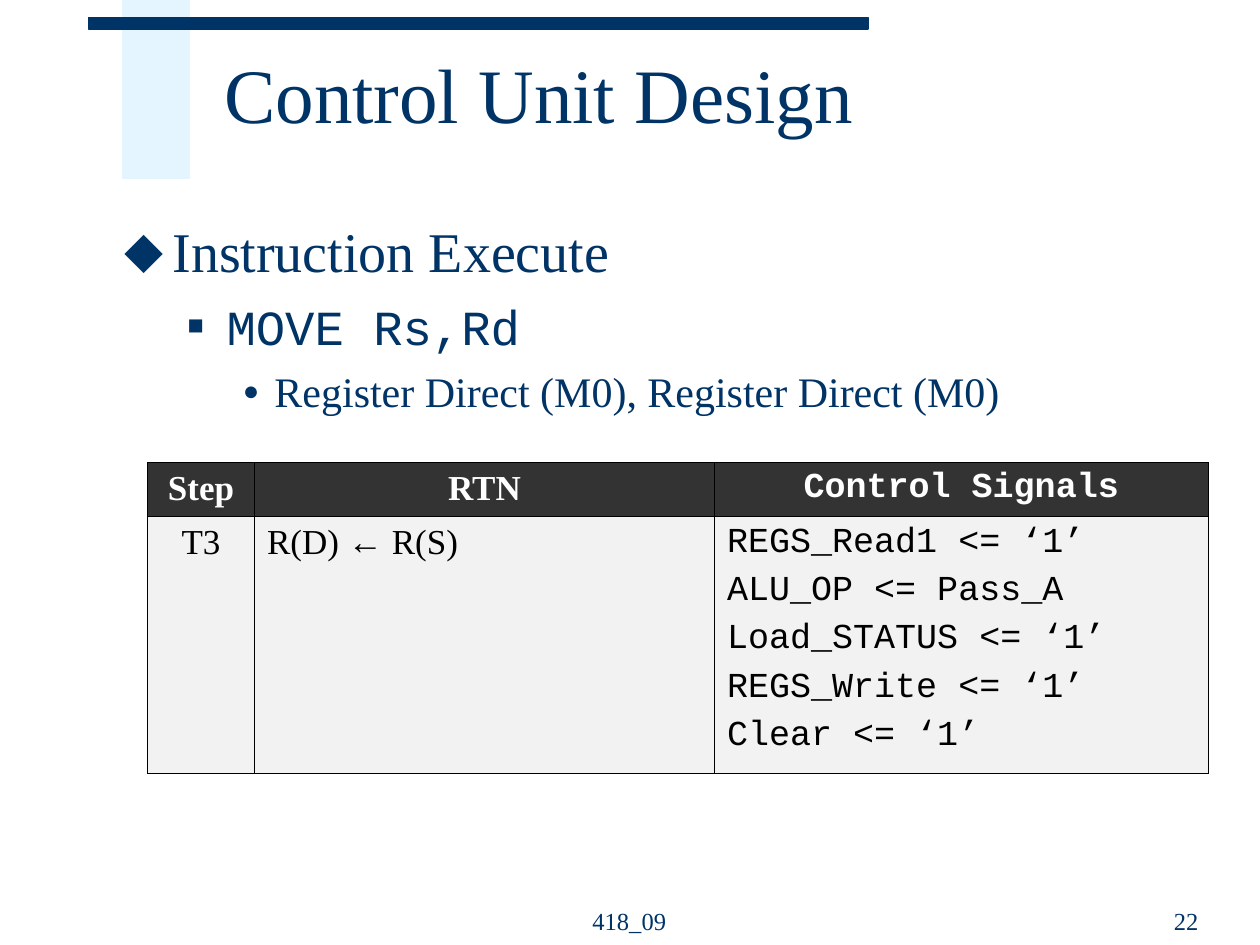
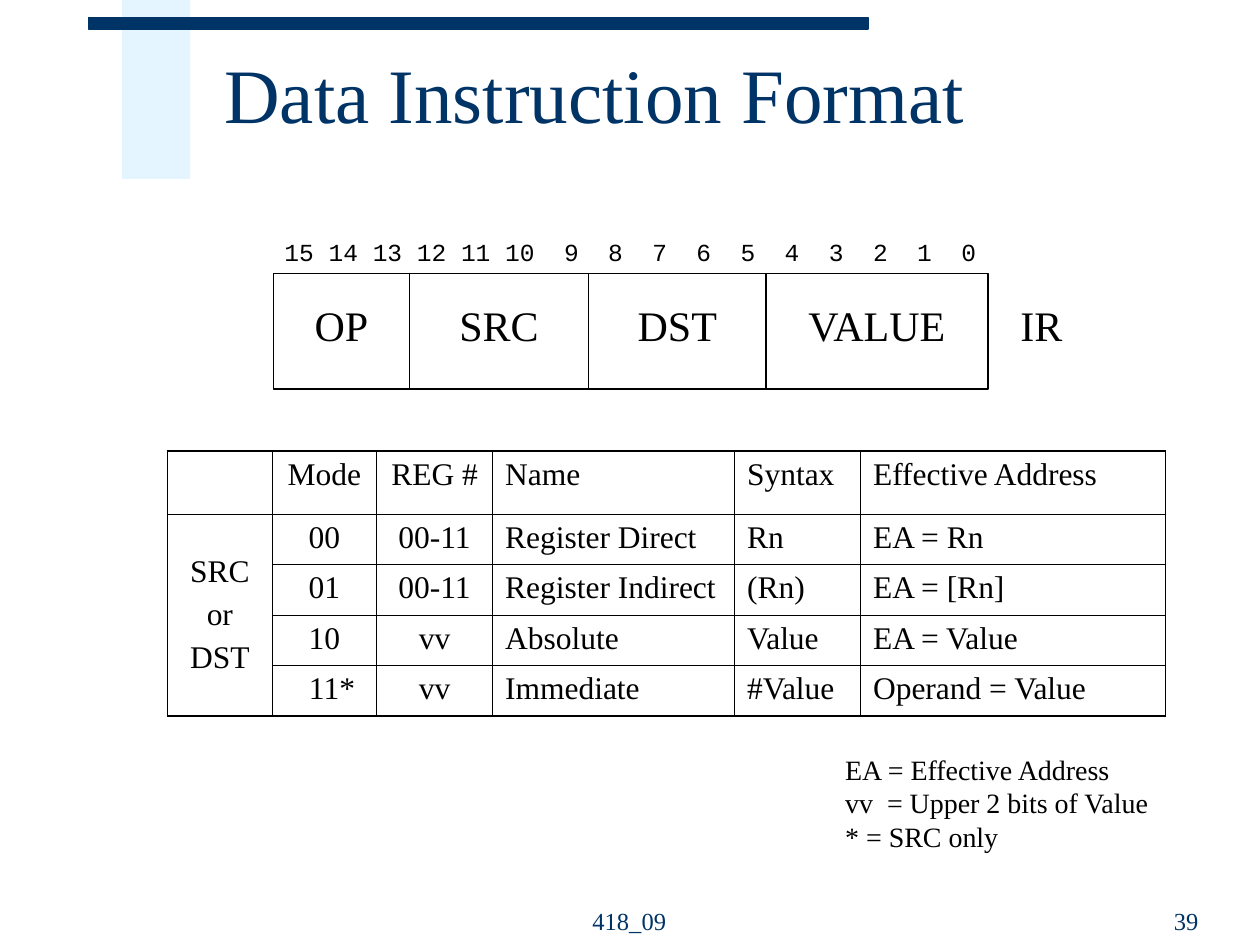
from dataclasses import dataclass, replace
from typing import Any, Optional, Sequence

from lxml import etree
from pptx import Presentation
from pptx import util as u
from pptx.dml.color import RGBColor
from pptx.enum import shapes, text
from pptx.oxml import ns

# Shared colours and fonts
NAVY = RGBColor(0x00, 0x33, 0x66)
PALE_BLUE = RGBColor(0xCC, 0xEC, 0xFF)
BLACK = RGBColor(0x00, 0x00, 0x00)
WHITE = RGBColor(0xFF, 0xFF, 0xFF)
CHARCOAL = RGBColor(0x33, 0x33, 0x33)
LIGHT_GREY = RGBColor(0xF2, 0xF2, 0xF2)
SERIF, MONO, SANS = "Times New Roman", "Courier New", "Arial"
ARROW = "←"
LEFT, CENTER, RIGHT = text.PP_ALIGN.LEFT, text.PP_ALIGN.CENTER, text.PP_ALIGN.RIGHT
TOP, MIDDLE, BOTTOM = text.MSO_ANCHOR.TOP, text.MSO_ANCHOR.MIDDLE, text.MSO_ANCHOR.BOTTOM
THIN, THICK = 0.45, 1.08


@dataclass(frozen=True)
class Box:
    left: float
    top: float
    width: float
    height: float

    def lengths(self) -> list[u.Length]:
        return [u.Inches(v) for v in (self.left, self.top, self.width, self.height)]


@dataclass(frozen=True)
class Style:
    size: float
    font: str = SERIF
    color: RGBColor = BLACK
    bold: bool = False
    align: Any = LEFT
    spaced: bool = False  # a quarter of the text size before each paragraph


@dataclass(frozen=True)
class Bullet:
    line: str
    style: Style
    char: str
    percent: int
    margin: float
    hanging: float


@dataclass(frozen=True)
class Cell:
    lines: Sequence[str]
    style: Style
    fill: Optional[RGBColor] = None
    anchor: Any = TOP
    margin_left: float = 0.1


@dataclass(frozen=True)
class Field:
    name: str
    left: float
    right: float


TITLE = Style(44, color=NAVY)
FOOTER = Style(14, color=NAVY)
FIELD = Style(24, align=CENTER)
STEP_BODY = Style(20, spaced=True)
STEP_HEAD = replace(STEP_BODY, color=WHITE, bold=True, align=CENTER)
MODE_TEXT = Style(18, spaced=True)


def set_all(target: Any, formats: dict[str, Any]) -> None:
    for name, value in formats.items():
        setattr(target, name, value)


def add_xml(parent: Any, tag: str, **attributes: str) -> Any:
    return etree.SubElement(parent, ns.qn(tag), attributes)


# Text
def write_line(paragraph: Any, line: str, style: Style) -> None:
    paragraph.alignment = style.align
    if style.spaced:
        paragraph.space_before = u.Pt(style.size / 4)
    for piece in filter(None, line.partition(ARROW)):
        run = paragraph.add_run()
        run.text = piece
        set_all(run.font, {"size": u.Pt(style.size), "bold": style.bold,
                           "name": SANS if piece == ARROW else style.font})
        run.font.color.rgb = style.color


def write_lines(frame: Any, lines: Sequence[str], style: Style) -> None:
    for index, line in enumerate(lines):
        paragraph = frame.add_paragraph() if index else frame.paragraphs[0]
        write_line(paragraph, line, style)


def add_text(slide: Any, box: Box, lines: Sequence[str], style: Style,
             anchor: Any = TOP, wrap: bool = True) -> Any:
    frame = slide.shapes.add_textbox(*box.lengths()).text_frame
    fit = text.MSO_AUTO_SIZE.NONE if wrap else text.MSO_AUTO_SIZE.SHAPE_TO_FIT_TEXT
    set_all(frame, {"word_wrap": wrap, "auto_size": fit, "vertical_anchor": anchor})
    write_lines(frame, lines, style)
    return frame


def add_bullets(slide: Any, box: Box, bullets: Sequence[Bullet]) -> None:
    frame = add_text(slide, box, [], TITLE)
    for level, bullet in enumerate(bullets):
        paragraph = frame.add_paragraph() if level else frame.paragraphs[0]
        paragraph.level = level
        write_line(paragraph, bullet.line, bullet.style)
        properties = paragraph._p.get_or_add_pPr()
        properties.set("marL", str(u.Inches(bullet.margin)))
        properties.set("indent", str(-u.Inches(bullet.hanging)))
        add_xml(add_xml(properties, "a:buClr"), "a:srgbClr", val=str(NAVY))
        add_xml(properties, "a:buSzPct", val=str(bullet.percent * 1000))
        add_xml(properties, "a:buFont", typeface=SANS)
        add_xml(properties, "a:buChar", char=bullet.char)


# Shapes and lines
def add_rectangle(slide: Any, box: Box, fill: RGBColor,
                  line: Optional[RGBColor] = None, width: float = 1) -> Any:
    shape = slide.shapes.add_shape(shapes.MSO_SHAPE.RECTANGLE, *box.lengths())
    shape.shadow.inherit = False
    shape.fill.solid()
    shape.fill.fore_color.rgb = fill
    if line is None:
        shape.line.fill.background()
    else:
        shape.line.color.rgb = line
        shape.line.width = u.Pt(width)
    return shape


def add_divider(slide: Any, x: float, top: float, bottom: float) -> None:
    ends = [u.Inches(v) for v in (x, top, x, bottom)]
    connector = slide.shapes.add_connector(shapes.MSO_CONNECTOR.STRAIGHT, *ends)
    connector.line.color.rgb = BLACK
    connector.line.width = u.Pt(1)
    add_xml(connector._element.spPr, "a:effectLst")


# Tables
def set_borders(cell: Any, widths: dict[str, float]) -> None:
    properties = cell._tc.get_or_add_tcPr()
    for position, (side, width) in enumerate(widths.items()):
        line = etree.Element(ns.qn(f"a:ln{side}"), {"w": str(u.Pt(width))})
        add_xml(add_xml(line, "a:solidFill"), "a:srgbClr", val=str(BLACK))
        properties.insert(position, line)


def add_grid(slide: Any, left: float, top: float, columns: Sequence[float],
             rows: Sequence[float], cells: dict[tuple[int, int], Cell],
             outer: float = THIN, merge: Optional[tuple[int, int, int, int]] = None) -> None:
    box = Box(left, top, sum(columns), sum(rows))
    table = slide.shapes.add_table(len(rows), len(columns), *box.lengths()).table
    for column, width in zip(table.columns, columns):
        column.width = u.Inches(width)
    for row, height in zip(table.rows, rows):
        row.height = u.Inches(height)
    if merge:
        table.cell(*merge[:2]).merge(table.cell(*merge[2:]))
    for r in range(len(rows)):
        for c in range(len(columns)):
            cell = table.cell(r, c)
            content = cells.get((r, c), Cell([], MODE_TEXT))
            last_row = r + (cell.span_height if cell.is_merge_origin else 1) == len(rows)
            if content.fill is None:
                cell.fill.background()
            else:
                cell.fill.solid()
                cell.fill.fore_color.rgb = content.fill
            if not cell.is_spanned:
                edges = {"L": c == 0, "R": c == len(columns) - 1, "T": r == 0, "B": last_row}
                set_borders(cell, {side: outer if edge else THIN for side, edge in edges.items()})
            set_all(cell, {"vertical_anchor": content.anchor,
                           "margin_left": u.Inches(content.margin_left)})
            write_lines(cell.text_frame, content.lines, content.style)


# Parts that every slide shares
def decorate_layout(layout: Any, slide: Any) -> None:
    band = add_rectangle(slide, Box(0.97, 0, 0.54, 1.42), PALE_BLUE)
    color = band._element.spPr.find(".//" + ns.qn("a:srgbClr"))
    add_xml(color, "a:alpha", val="50000")
    bar = add_rectangle(slide, Box(0.7, 0.14, 6.19, 0.09), NAVY, NAVY, 0.75)
    for shape in (band, bar):
        layout.shapes._spTree.append(shape._element)


def start_slide(presentation: Any, title: str, number: str) -> Any:
    layout = presentation.slide_layouts[5]
    slide = presentation.slides.add_slide(layout)
    if len(presentation.slides) == 1:
        decorate_layout(layout, slide)
    placeholder = slide.shapes.title
    sides = ("left", "top", "width", "height")
    set_all(placeholder, dict(zip(sides, Box(1.68, 0.17, 8.07, 1.25).lengths())))
    frame = placeholder.text_frame
    set_all(frame, {"word_wrap": True, "auto_size": text.MSO_AUTO_SIZE.NONE,
                    "vertical_anchor": MIDDLE})
    write_lines(frame, [title], TITLE)
    frame.paragraphs[0].line_spacing = 0.85
    add_text(slide, Box(4.08, 6.97, 1.83, 0.5), ["418_09"], replace(FOOTER, align=CENTER), BOTTOM)
    add_text(slide, Box(7.21, 6.97, 2.4, 0.5), [number], replace(FOOTER, align=RIGHT), BOTTOM)
    return slide


def build_control_unit(presentation: Any) -> None:
    slide = start_slide(presentation, "Control Unit Design", "22")
    heading = Style(32, color=NAVY, spaced=True)
    add_bullets(slide, Box(0.89, 1.67, 8.7, 5), [
        Bullet("Instruction Execute", heading, "⬥", 100, 0.38, 0.38),
        Bullet("MOVE Rs,Rd", replace(heading, size=28, font=MONO), "■", 55, 0.81, 0.31),
        Bullet("Register Direct (M0), Register Direct (M0)",
               replace(heading, size=24), "●", 65, 1.19, 0.25),
    ])
    # Execution steps
    signals = ["REGS_Read1 <= ‘1’", "ALU_OP <= Pass_A", "Load_STATUS <= ‘1’",
               "REGS_Write <= ‘1’", "Clear <= ‘1’"]
    add_grid(slide, 1.17, 3.67, [0.85, 3.65, 3.92], [0.43, 2.04], {
        (0, 0): Cell(["Step"], STEP_HEAD, CHARCOAL),
        (0, 1): Cell(["RTN"], STEP_HEAD, CHARCOAL),
        (0, 2): Cell(["Control Signals"], replace(STEP_HEAD, font=MONO), CHARCOAL),
        (1, 0): Cell(["T3"], replace(STEP_BODY, align=CENTER), LIGHT_GREY),
        (1, 1): Cell(["R(D) ← R(S)"], STEP_BODY, LIGHT_GREY),
        (1, 2): Cell(signals, replace(STEP_BODY, font=MONO), LIGHT_GREY),
    })


def build_data_format(presentation: Any) -> None:
    slide = start_slide(presentation, "Data Instruction Format", "39")
    # Instruction register
    register = Box(2.17, 2.17, 5.67, 0.92)
    add_rectangle(slide, register, WHITE, BLACK)
    bits = " ".join(f"{bit:>2}" for bit in range(15, -1, -1))
    add_text(slide, Box(2.16, 1.83, 5.7, 0.34), [bits], Style(14, MONO), wrap=False)
    fields = [Field("OP", 2.17, 3.25), Field("SRC", 3.25, 4.67),
              Field("DST", 4.67, 6.08), Field("VALUE", 6.08, 7.84)]
    for field in fields:
        box = Box(field.left, 2.33, field.right - field.left, 0.5)
        add_text(slide, box, [field.name], FIELD)
    for field in fields[1:]:
        add_divider(slide, field.left, register.top, register.top + register.height)
    add_text(slide, Box(8, 2.33, 0.53, 0.5), ["IR"], replace(FIELD, align=LEFT), wrap=False)

    # Addressing modes
    modes = [
        ("Mode", "REG #", "Name", "Syntax", "Effective Address"),
        ("00", "00-11", "Register Direct", "Rn", "EA = Rn"),
        ("01", "00-11", "Register Indirect", "(Rn)", "EA = [Rn]"),
        ("10", "vv", "Absolute", "Value", "EA = Value"),
        ("11*", "vv", "Immediate", "#Value", "Operand = Value"),
    ]
    centered = replace(MODE_TEXT, align=CENTER)
    cells = {(r, c): Cell([value], centered if c <= 2 else MODE_TEXT,
                          margin_left=0.22 if value.endswith("*") else 0.1)
             for r, mode in enumerate(modes) for c, value in enumerate(mode, 1)}
    cells[1, 0] = Cell(["SRC", "or", "DST"], centered, anchor=MIDDLE)
    add_grid(slide, 1.33, 3.58, [0.83, 0.83, 0.92, 1.92, 1, 2.42], [0.5] + [0.4] * 4,
             cells, outer=THICK, merge=(1, 0, 4, 0))
    notes = ["EA = Effective Address", "vv  = Upper 2 bits of Value", "* = SRC only"]
    add_text(slide, Box(6.61, 5.92, 2.63, 0.9), notes, Style(16), wrap=False)


def main() -> None:
    presentation = Presentation()
    set_all(presentation, {"slide_width": u.Inches(10), "slide_height": u.Inches(7.5)})
    build_control_unit(presentation)
    build_data_format(presentation)
    presentation.save("out.pptx")


if __name__ == "__main__":
    main()
